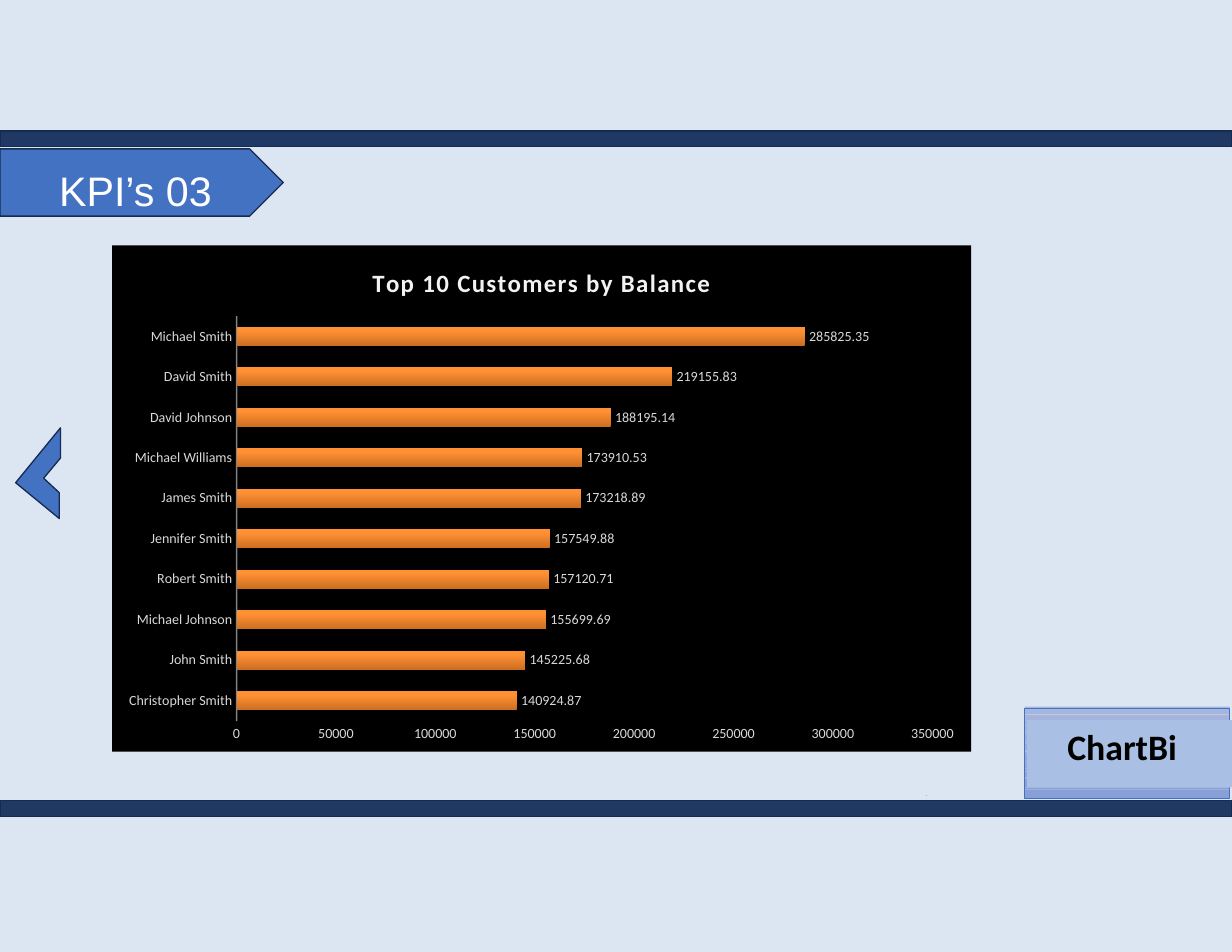
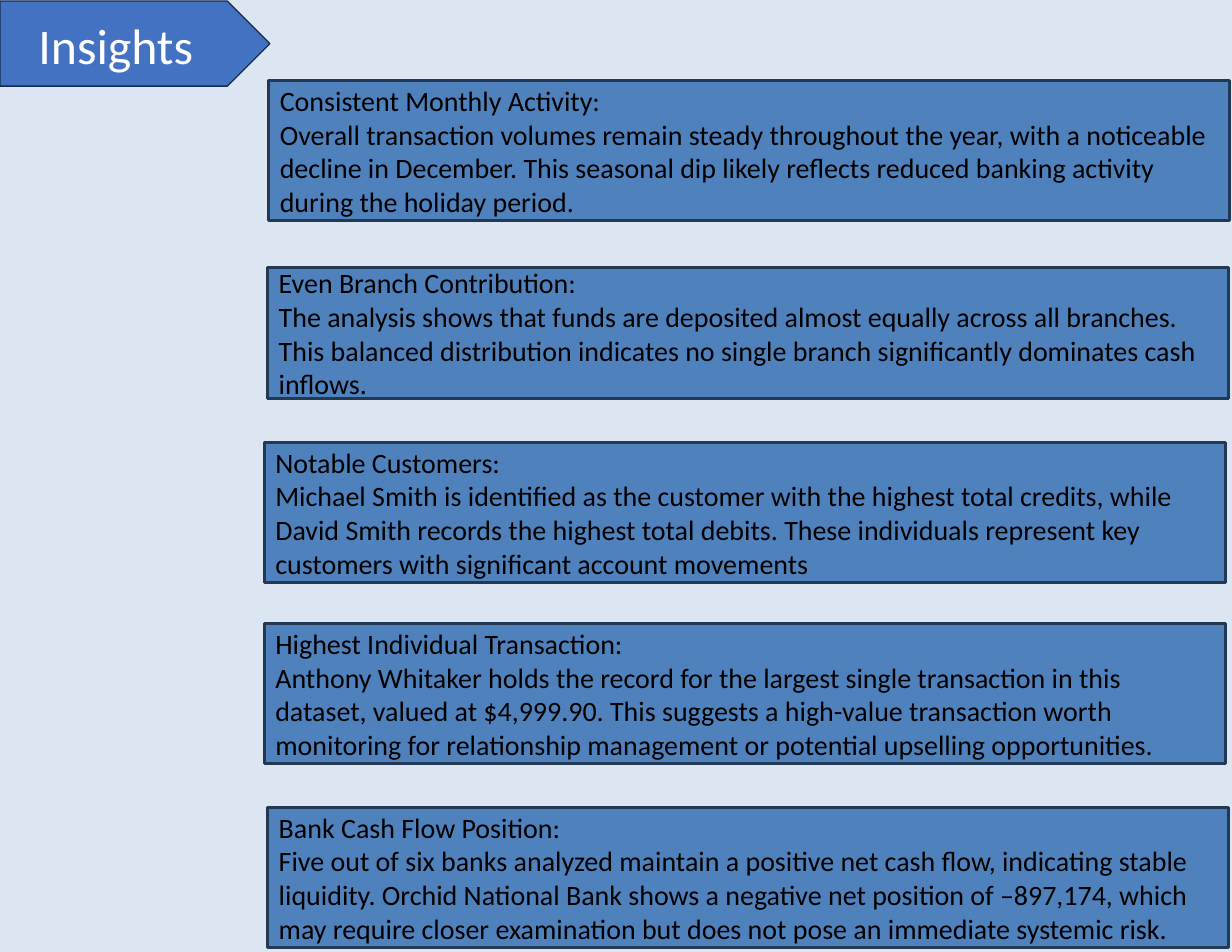
import lxml.etree
import pptx
import pptx.chart.data
import pptx.dml.color
import pptx.enum.chart
import pptx.enum.shapes
import pptx.enum.text
import pptx.oxml
import pptx.oxml.ns
import pptx.util

# Shades of the tag's backing, keyed by the top of each strip
TAG_SHADES = {
    6.31: "A8B6DF", 6.33: "A7B6DF", 6.34: "A7B6DD", 6.35: "A5B6DD", 6.38: "A5B5DD",
    6.4: "A5B3DD", 6.43: "A3B3DD", 6.48: "A1B1DD", 6.49: "A1B1DB", 6.53: "A0B1DB",
    6.54: "A0AFDB", 6.56: "9EAFDB", 6.61: "9EAEDB", 6.63: "9CAEDB", 6.64: "9CACDA",
    6.68: "9AACDA", 6.7: "9AACD8", 6.71: "9AAAD8", 6.73: "99AAD8", 6.76: "97A8D8",
    6.8: "95A8D8", 6.84: "93A7D8", 6.86: "93A5D8", 6.89: "91A5D8", 6.91: "90A5D8",
    6.94: "90A3D8", 6.95: "8EA3D8", 6.99: "8CA1D8", 7.03: "8AA1D8", 7.05: "89A0D6",
    7.09: "879ED6",
}
COLORS = {
    "page": "DCE6F2", "accent": "4472C3", "outline": "162B50", "band": "1F3864",
    "card": "4F81BD", "card_edge": "233953", "tag": "AABFE4",
    "bar_high": "FF9034", "bar_low": "CC6E20",
    "black": "000000", "white": "FFFFFF", "dot": "231F1F",
    "chart_title": "F2F2F2", "chart_text": "D9D9D9", **TAG_SHADES,
}
RGB = {part: pptx.dml.color.RGBColor.from_string(code) for part, code in COLORS.items()}
ALIGN = pptx.enum.text.PP_ALIGN
SHAPE = pptx.enum.shapes.MSO_SHAPE

deck = pptx.Presentation()
deck.slide_width = pptx.util.Inches(11)
deck.slide_height = pptx.util.Inches(8.5)
COL = deck.slide_width / 11    # eleven columns
ROW = deck.slide_height / 8.5  # eight and a half rows


def grid(left, top, width, height):
    """Turn columns and rows into slide lengths."""
    return [round(left * COL), round(top * ROW), round(width * COL), round(height * ROW)]


def style(shape, fill, edge=None, edge_width=0.84, lines=(), size=18, font="Calibri",
          ink="black", align=ALIGN.LEFT, bold=None, insets=None):
    """Paint a shape and write one paragraph for each line."""
    shape.shadow.inherit = False
    if fill:
        shape.fill.solid()
        shape.fill.fore_color.rgb = RGB[fill]
    else:
        shape.fill.background()
    if edge:
        shape.line.color.rgb = RGB[edge]
        shape.line.width = pptx.util.Pt(edge_width)
    else:
        shape.line.fill.background()
    frame = shape.text_frame
    frame.word_wrap = True
    if insets:
        frame.margin_left, frame.margin_top = round(insets[0] * COL), round(insets[1] * ROW)
        frame.margin_right = frame.margin_bottom = 0
        frame.vertical_anchor = pptx.enum.text.MSO_ANCHOR.TOP
    for number, line in enumerate(lines):
        paragraph = frame.add_paragraph() if number else frame.paragraphs[0]
        paragraph.alignment = align
        run = paragraph.add_run()
        run.text = line
        run.font.size, run.font.name, run.font.bold = pptx.util.Pt(size), font, bold
        run.font.color.rgb = RGB[ink]


# What the slides share: background, title arrow and title
headings = [
    ("KPI’s 03", (0, 1.33, 2.53, 0.6), (0.5, 1.31, 1.42, 0.62), 26.5, "Arial", (0, 0.17)),
    ("Insights", (0, 0.01, 2.41, 0.76), (0.16, 0.08, 1.75, 0.64), 32, "Calibri", None),
]
slides = []
for heading, arrow_place, heading_place, size, font, insets in headings:
    slide = deck.slides.add_slide(deck.slide_layouts[6])
    slide.background.fill.solid()
    slide.background.fill.fore_color.rgb = RGB["page"]
    arrow = slide.shapes.add_shape(SHAPE.PENTAGON, *grid(*arrow_place))
    style(arrow, "accent", "outline")
    title = slide.shapes.add_textbox(*grid(*heading_place))
    style(title, None, lines=[heading], size=size, font=font, ink="white",
          align=ALIGN.CENTER, insets=insets)
    slides.append(slide)
kpi, insights = slides

# Slide 1: back arrow, bands and tag
corners = [(round(x * COL), round(y * ROW)) for x, y in (
    (0.14, 4.31), (0.54, 3.82), (0.54, 4.09), (0.39, 4.27), (0.53, 4.4), (0.53, 4.63))]
outline = kpi.shapes.build_freeform(*corners[0])
outline.add_line_segments(corners[1:], close=True)
style(outline.convert_to_shape(), "accent", "outline")

for band_top in (1.17, 7.15):
    band = kpi.shapes.add_shape(SHAPE.RECTANGLE, *grid(0, band_top, 11, 0.14))
    style(band, "band", "outline")

dot = kpi.shapes.add_textbox(*grid(8.25, 7.07, 0.04, 0.06))
style(dot, None, lines=["•"], size=1.5, font="Arial", ink="dot",
      align=ALIGN.CENTER, insets=(0, 0.02))

strip_tops = list(TAG_SHADES)
for top, bottom in zip(strip_tops, strip_tops[1:] + [7.13]):
    strip = kpi.shapes.add_shape(SHAPE.RECTANGLE, *grid(9.15, top, 1.83, bottom - top))
    style(strip, top)
tag_edge = kpi.shapes.add_shape(SHAPE.RECTANGLE, *grid(9.15, 6.32, 1.83, 0.81))
style(tag_edge, None, "accent", 0.36)
tag = kpi.shapes.add_shape(SHAPE.RECTANGLE, *grid(9.17, 6.43, 1.83, 0.6))
style(tag, "tag", lines=["ChartBi"], size=23, bold=True, insets=(0.36, 0.04))

# Slide 1: balance chart
balances = {
    "Christopher Smith": 140924.87, "John Smith": 145225.68,
    "Michael Johnson": 155699.69, "Robert Smith": 157120.71,
    "Jennifer Smith": 157549.88, "James Smith": 173218.89,
    "Michael Williams": 173910.53, "David Johnson": 188195.14,
    "David Smith": 219155.83, "Michael Smith": 285825.35,
}
balance_data = pptx.chart.data.CategoryChartData()
balance_data.categories = list(balances)
balance_data.add_series("Series 1", list(balances.values()))
chart = kpi.shapes.add_chart(pptx.enum.chart.XL_CHART_TYPE.BAR_CLUSTERED,
                             *grid(1, 2.19, 7.67, 4.52), balance_data).chart
chart.has_legend = False
chart.font.size, chart.font.name = pptx.util.Pt(10), "Calibri"

chart.has_title = True
chart_title = chart.chart_title.text_frame.paragraphs[0].add_run()
chart_title.text = "Top 10 Customers by Balance"
chart_title.font.size, chart_title.font.name = pptx.util.Pt(16), "Calibri"
chart_title.font.bold = True
chart_title.font.color.rgb = RGB["chart_title"]
chart_title.font._element.set("spc", "100")

plot = chart.plots[0]
plot.gap_width, plot.overlap, plot.vary_by_categories = 115, -20, False
plot.has_data_labels = True
labels = plot.data_labels
labels.show_value = True
labels.position = pptx.enum.chart.XL_LABEL_POSITION.OUTSIDE_END

bar_fill = plot.series[0].format.fill
bar_fill.gradient()
bar_fill.gradient_angle = 90
low, high = bar_fill.gradient_stops
low.color.rgb, low.position = RGB["bar_low"], 0
high.color.rgb, high.position = RGB["bar_high"], 0.8

for axis in (chart.category_axis, chart.value_axis):
    axis.has_major_gridlines = False
    axis.major_tick_mark = axis.minor_tick_mark = pptx.enum.chart.XL_TICK_MARK.NONE
for part_font in (chart.category_axis.tick_labels.font,
                  chart.value_axis.tick_labels.font, labels.font):
    part_font.size, part_font.name = pptx.util.Pt(9), "Calibri"
    part_font.color.rgb = RGB["chart_text"]
chart.value_axis.minimum_scale, chart.value_axis.maximum_scale = 0, 350000
chart.value_axis.major_unit = 50000
chart.value_axis.format.line.fill.background()

axis_line = chart.category_axis.format.line
axis_line.width = pptx.util.Pt(1)
axis_line.color.rgb = RGB["chart_title"]
axis_color = next(axis_line._ln.iter(pptx.oxml.ns.qn("a:srgbClr")))
lxml.etree.SubElement(axis_color, pptx.oxml.ns.qn("a:alpha")).set("val", "54000")

# Chart background and the place of the plot within it
names = pptx.oxml.ns.nsdecls("c", "a")
chart_body = chart._chartSpace.find(pptx.oxml.ns.qn("c:chart"))
chart_body.addnext(pptx.oxml.parse_xml(
    f'<c:spPr {names}><a:solidFill><a:srgbClr val="{COLORS["black"]}"/></a:solidFill>'
    "<a:ln><a:noFill/></a:ln></c:spPr>"))
plot_area = chart_body.find(pptx.oxml.ns.qn("c:plotArea"))
for layout in plot_area.findall(pptx.oxml.ns.qn("c:layout")):
    plot_area.remove(layout)
shares = {"x": 0.145, "y": 0.14, "w": 0.81, "h": 0.8}
plot_area.insert(0, pptx.oxml.parse_xml(
    f'<c:layout {names}><c:manualLayout><c:layoutTarget val="inner"/>'
    '<c:xMode val="edge"/><c:yMode val="edge"/>'
    + "".join(f'<c:{side} val="{share}"/>' for side, share in shares.items())
    + "</c:manualLayout></c:layout>"))

# Slide 2: findings, each with left, top and height
findings = [
    (2.4, 0.72, 1.25, "Consistent Monthly Activity:",
     "Overall transaction volumes remain steady throughout the year, with a noticeable "
     "decline in December. This seasonal dip likely reflects reduced banking activity "
     "during the holiday period."),
    (2.39, 2.39, 1.17, "Even Branch Contribution:",
     "The analysis shows that funds are deposited almost equally across all branches. "
     "This balanced distribution indicates no single branch significantly dominates cash "
     "inflows."),
    (2.36, 3.95, 1.25, "Notable Customers:",
     "Michael Smith is identified as the customer with the highest total credits, while "
     "David Smith records the highest total debits. These individuals represent key "
     "customers with significant account movements"),
    (2.36, 5.57, 1.25, "Highest Individual Transaction:",
     "Anthony Whitaker holds the record for the largest single transaction in this "
     "dataset, valued at $4,999.90. This suggests a high-value transaction worth "
     "monitoring for relationship management or potential upselling opportunities."),
    (2.39, 7.21, 1.25, "Bank Cash Flow Position:",
     "Five out of six banks analyzed maintain a positive net cash flow, indicating stable "
     "liquidity. Orchid National Bank shows a negative net position of –897,174, which "
     "may require closer examination but does not pose an immediate systemic risk."),
]
for left, top, height, topic, finding in findings:
    card = insights.shapes.add_shape(SHAPE.RECTANGLE, *grid(left, top, 8.58, height))
    style(card, "card", "card_edge", 2, lines=[topic, finding])

deck.save("out.pptx")
